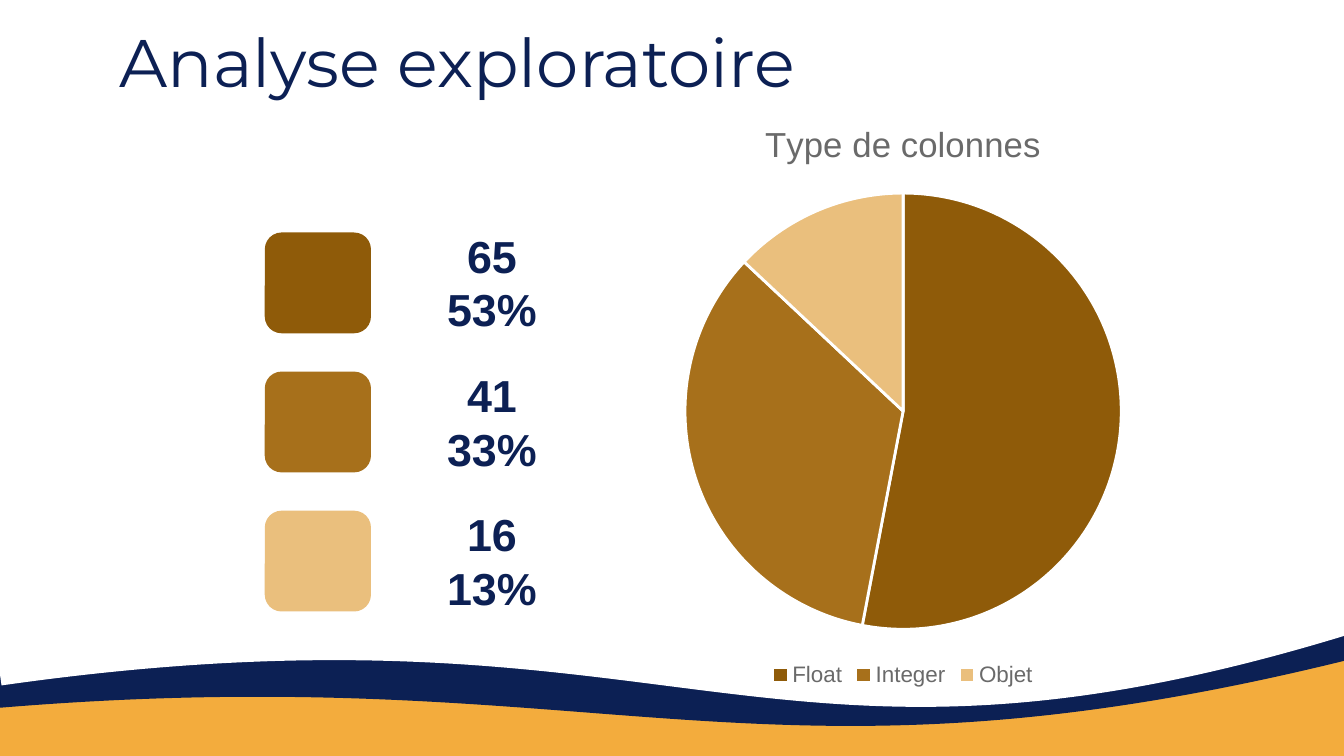
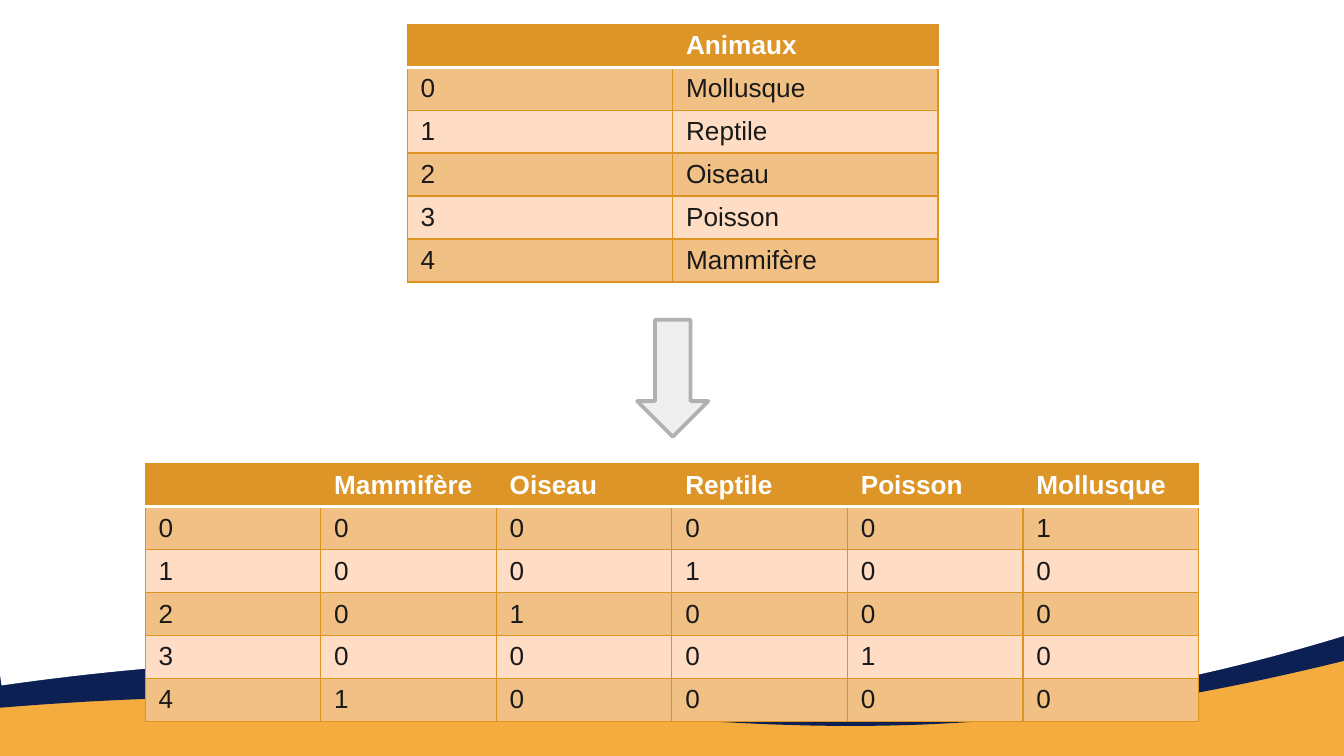
import lxml.etree
import pptx
import pptx.chart.data
import pptx.dml.color
import pptx.enum.chart
import pptx.enum.shapes
import pptx.enum.text
import pptx.oxml.ns
import pptx.util

Inches = pptx.util.Inches
Pt = pptx.util.Pt
SHAPE = pptx.enum.shapes.MSO_SHAPE

COLORS = {
    "navy": "0C2054", "orange": "F3AC3D", "white": "FFFFFF",
    "float": "8F5B09", "integer": "A7701B", "object": "EABF7D",
    "grey": "6A6A6A", "text": "191919", "header": "DC9526",
    "border": "DC9321", "band": "F1C085", "pale": "FFDDC5",
    "arrow": "EFEFEF", "arrow_line": "B1B1B1",
}
BODY_FONT = "Arial"
TITLE_FONT = "Montserrat"
WAVES = [("navy", (-2.08, -0.7, 13.55, 6.52)), ("white", (-0.32, -0.88, 10.94, 6.52))]
COLUMN_TYPES = [
    ("Float", 53, "float", "65", "53%"),
    ("Integer", 34, "integer", "41", "33%"),
    ("Objet", 13, "object", "16", "13%"),
]
ANIMALS = ["Mollusque", "Reptile", "Oiseau", "Poisson", "Mammifère"]
ENCODED = ["Mammifère", "Oiseau", "Reptile", "Poisson", "Mollusque"]


def rgb(name):
    """Return the named colour."""
    return pptx.dml.color.RGBColor.from_string(COLORS[name])


def style_font(font, size, color, name=BODY_FONT, bold=False):
    """Set size, colour, face and weight of a font."""
    font.size = Pt(size)
    font.name = name
    font.bold = bold
    font.color.rgb = rgb(color)


def add_filled(shapes, kind, box, fill):
    """Add a flat preset shape without outline."""
    sp = shapes.add_shape(kind, *map(Inches, box))
    sp.shadow.inherit = False
    sp.fill.solid()
    sp.fill.fore_color.rgb = rgb(fill)
    sp.line.fill.background()
    return sp


def add_wavy_slide(prs):
    """Add a blank slide with the orange ground and the two waves."""
    slide = prs.slides.add_slide(prs.slide_layouts[6])
    slide.background.fill.solid()
    slide.background.fill.fore_color.rgb = rgb("orange")
    for fill, box in WAVES:
        sp = add_filled(slide.shapes, SHAPE.FLOWCHART_DOCUMENT, box, fill)
        sp.rotation = 351.9
        sp._element.spPr.find(pptx.oxml.ns.qn("a:xfrm")).set("flipH", "1")
    return slide


def add_title(slide, text, box):
    """Add the slide title."""
    tf = slide.shapes.add_textbox(*map(Inches, box)).text_frame
    tf.word_wrap = True
    tf.vertical_anchor = pptx.enum.text.MSO_ANCHOR.MIDDLE
    tf.margin_left = tf.margin_right = tf.margin_top = tf.margin_bottom = Inches(0.1)
    tf.text = text
    style_font(tf.paragraphs[0].runs[0].font, 36, "navy", TITLE_FONT)


def add_type_pie(slide, title, box):
    """Add the pie of column types with its title and legend."""
    data = pptx.chart.data.CategoryChartData()
    data.categories = [row[0] for row in COLUMN_TYPES]
    data.add_series(title, [row[1] for row in COLUMN_TYPES])
    chart = slide.shapes.add_chart(
        pptx.enum.chart.XL_CHART_TYPE.PIE, *map(Inches, box), data).chart
    style_font(chart.font, 10, "text")
    chart.has_title = True
    chart.chart_title.include_in_layout = False
    tf = chart.chart_title.text_frame
    tf.text = title
    style_font(tf.paragraphs[0].runs[0].font, 18.6, "grey")
    chart.has_legend = True
    chart.legend.position = pptx.enum.chart.XL_LEGEND_POSITION.BOTTOM
    chart.legend.include_in_layout = False
    style_font(chart.legend.font, 12, "grey")
    plot = chart.plots[0]
    plot.vary_by_categories = True
    for i, row in enumerate(COLUMN_TYPES):
        fmt = plot.series[0].points[i].format
        fmt.fill.solid()
        fmt.fill.fore_color.rgb = rgb(row[2])
        fmt.line.color.rgb = rgb("white")
        fmt.line.width = Pt(1.5)


def add_type_counts(slide, box):
    """Add one group of swatch, count and share for each column type."""
    left, top, width, height = box
    text_w, text_h = 0.88, 0.91
    pitch = (height - text_h) / (len(COLUMN_TYPES) - 1)
    for i, (_, _, color, count, share) in enumerate(COLUMN_TYPES):
        y = top + i * pitch
        group = slide.shapes.add_group_shape()
        text_box = (left + width - text_w, y, text_w, text_h)
        tf = group.shapes.add_textbox(*map(Inches, text_box)).text_frame
        tf.word_wrap = False
        tf.text = f"{count}\n{share}"
        for p in tf.paragraphs:
            p.alignment = pptx.enum.text.PP_ALIGN.CENTER
            style_font(p.runs[0].font, 24, "navy", bold=True)
        swatch = (left, y + 0.08, 0.79, 0.75)
        add_filled(group.shapes, SHAPE.ROUNDED_RECTANGLE, swatch, color)


def set_border(cell, sides):
    """Draw cell borders from (side, colour, width) in schema order."""
    tcPr = cell._tc.get_or_add_tcPr()
    for i, (side, color, width) in enumerate(sides):
        ln = lxml.etree.Element(pptx.oxml.ns.qn(f"a:ln{side}"), w=str(Pt(width)))
        fill = lxml.etree.SubElement(ln, pptx.oxml.ns.qn("a:solidFill"))
        lxml.etree.SubElement(fill, pptx.oxml.ns.qn("a:srgbClr"), val=COLORS[color])
        tcPr.insert(i, ln)


def add_banded_table(slide, rows, left, top, width, row_height=0.32):
    """Add a table with an orange header and two-tone bands."""
    n_cols = len(rows[0])
    table = slide.shapes.add_table(
        len(rows), n_cols, Inches(left), Inches(top),
        Inches(width), Inches(len(rows) * row_height)).table
    for col in table.columns:
        col.width = Inches(width / n_cols)
    thin, rule = ("border", 0.75), ("white", 2)
    for r, values in enumerate(rows):
        table.rows[r].height = Inches(row_height)
        fill = "header" if r == 0 else "band" if r % 2 else "pale"
        for c, value in enumerate(values):
            cell = table.cell(r, c)
            cell.margin_top = Inches(0.05)
            cell.margin_bottom = Inches(0.03)
            cell.fill.solid()
            cell.fill.fore_color.rgb = rgb(fill)
            cell.text = value
            p = cell.text_frame.paragraphs[0]
            p._p.get_or_add_endParaRPr().set("sz", "1400")
            for run in p.runs:
                style_font(run.font, 14, "text" if r else "white", bold=r == 0)
            set_border(cell, [
                ("L", *thin), ("R", *thin),
                ("T", *(rule if r == 1 else thin)),
                ("B", *(rule if r == 0 else thin))])


def add_down_arrow(slide, box):
    """Add the grey arrow that points from the first table to the second."""
    sp = add_filled(slide.shapes, SHAPE.RIGHT_ARROW, box, "arrow")
    sp.rotation = 90
    sp.line.color.rgb = rgb("arrow_line")
    sp.line.width = Pt(2)


def build_exploration(prs):
    """Build the slide on column types."""
    slide = add_wavy_slide(prs)
    add_title(slide, "Analyse exploratoire", (0.79, 0.19, 8.43, 0.53))
    add_type_pie(slide, "Type de colonnes", (4.1, 0.71, 5.24, 4.44))
    add_type_counts(slide, (1.97, 1.65, 2.13, 2.98))


def build_encoding(prs):
    """Build the slide on one-hot encoding."""
    slide = add_wavy_slide(prs)
    labels = [["", "Animaux"]] + [[str(i), a] for i, a in enumerate(ANIMALS)]
    add_banded_table(slide, labels, 3.03, 0.18, 3.95)
    add_down_arrow(slide, (4.57, 2.55, 0.87, 0.53))
    one_hot = [[""] + ENCODED] + [
        [str(i)] + [str(int(a == name)) for name in ENCODED]
        for i, a in enumerate(ANIMALS)]
    add_banded_table(slide, one_hot, 1.08, 3.45, 7.84)


def main():
    """Build and save the presentation."""
    prs = pptx.Presentation()
    prs.slide_width = Inches(10)
    prs.slide_height = prs.slide_width * 9 // 16
    build_exploration(prs)
    build_encoding(prs)
    prs.save("out.pptx")


if __name__ == "__main__":
    main()
